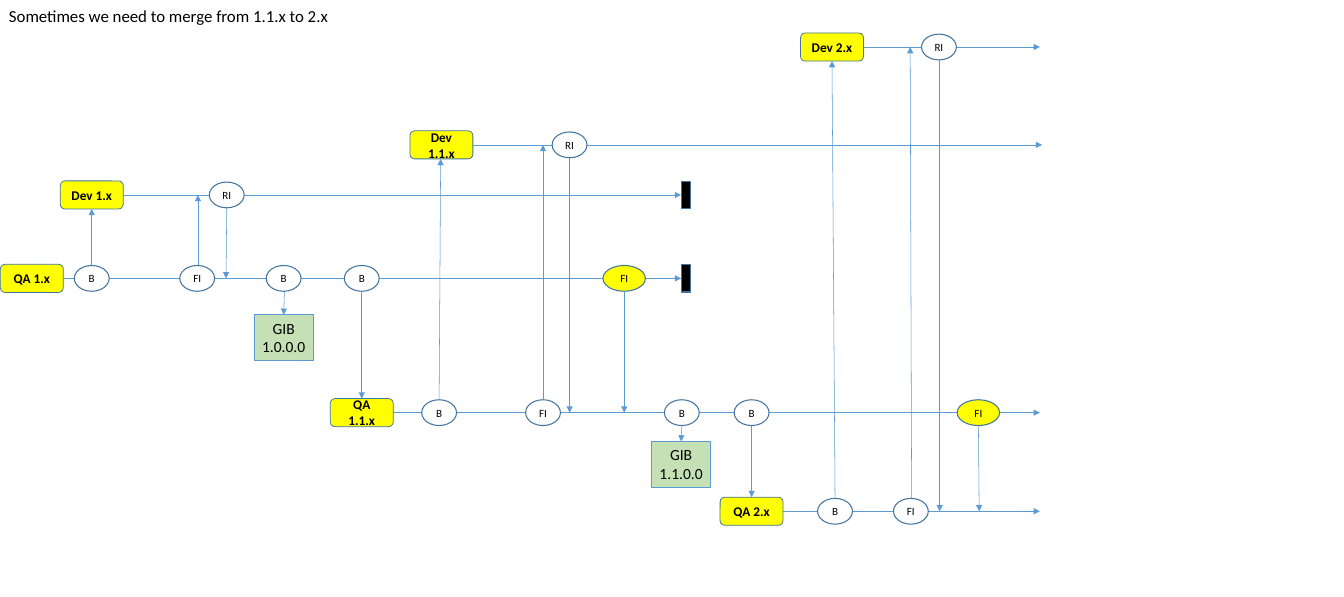
from pptx import Presentation
from pptx.dml.color import RGBColor
from pptx.enum.shapes import MSO_CONNECTOR, MSO_SHAPE
from pptx.enum.text import MSO_ANCHOR, PP_ALIGN
from pptx.oxml.ns import qn
from pptx.util import Inches, Pt
from lxml import etree

STRAIGHT = MSO_CONNECTOR.STRAIGHT
CENTER = PP_ALIGN.CENTER
MIDDLE, TOP = MSO_ANCHOR.MIDDLE, MSO_ANCHOR.TOP
FONT = "Calibri"
BLACK, YELLOW, GREEN = "000000", "FFFF00", "C5E0B4"
BLUE, DARK_BLUE = "5B9BD5", "43739E"

TITLE = "Sometimes we need to merge from 1.1.x to 2.x"

# kind: (preset, width, height, fill, line colour, line width, text size, bold, anchor)
KINDS = {
    "branch": (MSO_SHAPE.ROUNDED_RECTANGLE, 0.83, 0.37, YELLOW, DARK_BLUE, 0.75, 12.6, True, MIDDLE),
    "step": (MSO_SHAPE.OVAL, 0.46, 0.34, None, DARK_BLUE, 1, 10.5, False, MIDDLE),
    "merge": (MSO_SHAPE.OVAL, 0.56, 0.34, YELLOW, DARK_BLUE, 1, 10.5, False, MIDDLE),
    "release": (MSO_SHAPE.RECTANGLE, 0.78, 0.6, GREEN, BLUE, 0.75, 14.7, False, TOP),
    "stop": (MSO_SHAPE.RECTANGLE, 0.12, 0.36, BLACK, DARK_BLUE, 1, 10.5, False, MIDDLE),
}

# lane: (centre y, [(kind, text, centre x)], x where an open lane ends)
LANES = {
    "Dev 2.x": (0.62, [("branch", "Dev 2.x", 10.97), ("step", "RI", 12.38)], 13.71),
    "Dev 1.1.x": (1.91, [("branch", "Dev 1.1.x", 5.82), ("step", "RI", 7.51)], 13.74),
    "Dev 1.x": (2.57, [("branch", "Dev 1.x", 1.21), ("step", "RI", 2.99), ("stop", "", 9.04)], None),
    "QA 1.x": (3.67, [("branch", "QA 1.x", 0.42), ("step", "B", 1.21), ("step", "FI", 2.6),
                      ("step", "B", 3.74), ("step", "B", 4.77), ("merge", "FI", 8.23),
                      ("stop", "", 9.04)], None),
    "GIB 1.0": (4.45, [("release", "GIB\n1.0.0.0", 3.74)], None),
    "QA 1.1.x": (5.44, [("branch", "QA 1.1.x", 4.77), ("step", "B", 5.79), ("step", "FI", 7.16),
                        ("step", "B", 8.99), ("step", "B", 9.91), ("merge", "FI", 12.9)], 13.71),
    "GIB 1.1": (6.12, [("release", "GIB\n1.1.0.0", 8.98)], None),
    "QA 2.x": (6.74, [("branch", "QA 2.x", 9.91), ("step", "B", 11.01), ("step", "FI", 12.01)], 13.71),
}

# (from lane, x, to lane, x)
FLOWS = [
    ("QA 1.x", 1.21, "Dev 1.x", 1.21),
    ("QA 1.x", 2.61, "Dev 1.x", 2.61),
    ("Dev 1.x", 2.99, "QA 1.x", 2.98),
    ("QA 1.x", 3.75, "GIB 1.0", 3.74),
    ("QA 1.x", 4.77, "QA 1.1.x", 4.77),
    ("QA 1.1.x", 5.79, "Dev 1.1.x", 5.81),
    ("QA 1.1.x", 7.16, "Dev 1.1.x", 7.16),
    ("Dev 1.1.x", 7.51, "QA 1.1.x", 7.51),
    ("QA 1.x", 8.23, "QA 1.1.x", 8.23),
    ("QA 1.1.x", 8.99, "GIB 1.1", 8.98),
    ("QA 1.1.x", 9.91, "QA 2.x", 9.91),
    ("QA 2.x", 11.01, "Dev 2.x", 10.97),
    ("QA 2.x", 12.02, "Dev 2.x", 12.0),
    ("Dev 2.x", 12.39, "QA 2.x", 12.39),
    ("QA 1.1.x", 12.9, "QA 2.x", 12.91),
]


def color(value):
    return RGBColor.from_string(value)


def write(frame, text, size, bold=False, align=None):
    frame.text = text
    for para in frame.paragraphs:
        para.alignment = align
        para.font.name = FONT
        para.font.size = Pt(size)
        para.font.bold = bold
        para.font.color.rgb = color(BLACK)


def add_item(page, kind, text, x, y):
    """Draw one lane item centred on x, y."""
    preset, width, height, fill, line, weight, size, bold, anchor = KINDS[kind]
    shape = page.shapes.add_shape(preset, Inches(x - width / 2), Inches(y - height / 2),
                                  Inches(width), Inches(height))
    shape.shadow.inherit = False
    if fill:
        shape.fill.solid()
        shape.fill.fore_color.rgb = color(fill)
    else:
        shape.fill.background()
    shape.line.color.rgb = color(line)
    shape.line.width = Pt(weight)
    if text:
        shape.text_frame.word_wrap = kind == "branch"
        shape.text_frame.vertical_anchor = anchor
        write(shape.text_frame, text, size, bold, CENTER)


def add_line(page, x1, y1, x2, y2, arrow):
    line = page.shapes.add_connector(STRAIGHT, Inches(x1), Inches(y1), Inches(x2), Inches(y2))
    line.line.color.rgb = color(BLUE)
    line.line.width = Pt(0.5)
    if arrow:
        etree.SubElement(line.line._get_or_add_ln(), qn("a:tailEnd"), type="triangle")
    etree.SubElement(line._element.spPr, qn("a:effectLst"))


def half_height(lane, x):
    """Half the height of the item at x on a lane, or 0 on the bare line."""
    for kind, _, center in LANES[lane][1]:
        if abs(center - x) < 0.05:
            return KINDS[kind][2] / 2
    return 0


def add_lane(page, y, items, end):
    spans = [(x - KINDS[kind][1] / 2, x + KINDS[kind][1] / 2) for kind, _, x in items]
    if end:
        spans.append((end, end))
    for index, (before, after) in enumerate(zip(spans, spans[1:]), 2):
        closes = index == len(spans)
        add_line(page, before[1], y, after[0], y, closes)
    for kind, text, x in items:
        add_item(page, kind, text, x, y)


def add_flow(page, source, x1, target, x2):
    y1, y2 = LANES[source][0], LANES[target][0]
    way = 1 if y2 > y1 else -1
    add_line(page, x1, y1 + way * half_height(source, x1),
             x2, y2 - way * half_height(target, x2), True)


def main():
    deck = Presentation()
    deck.slide_width, deck.slide_height = Inches(17.72), Inches(7.87)
    page = deck.slides.add_slide(deck.slide_layouts[6])
    for lane in LANES.values():
        add_lane(page, *lane)
    for flow in FLOWS:
        add_flow(page, *flow)
    box = page.shapes.add_textbox(Inches(0.02), Inches(0.03), Inches(17.7), Inches(0.37))
    box.text_frame.word_wrap = True
    write(box.text_frame, TITLE, 16)
    deck.save("out.pptx")


if __name__ == "__main__":
    main()
